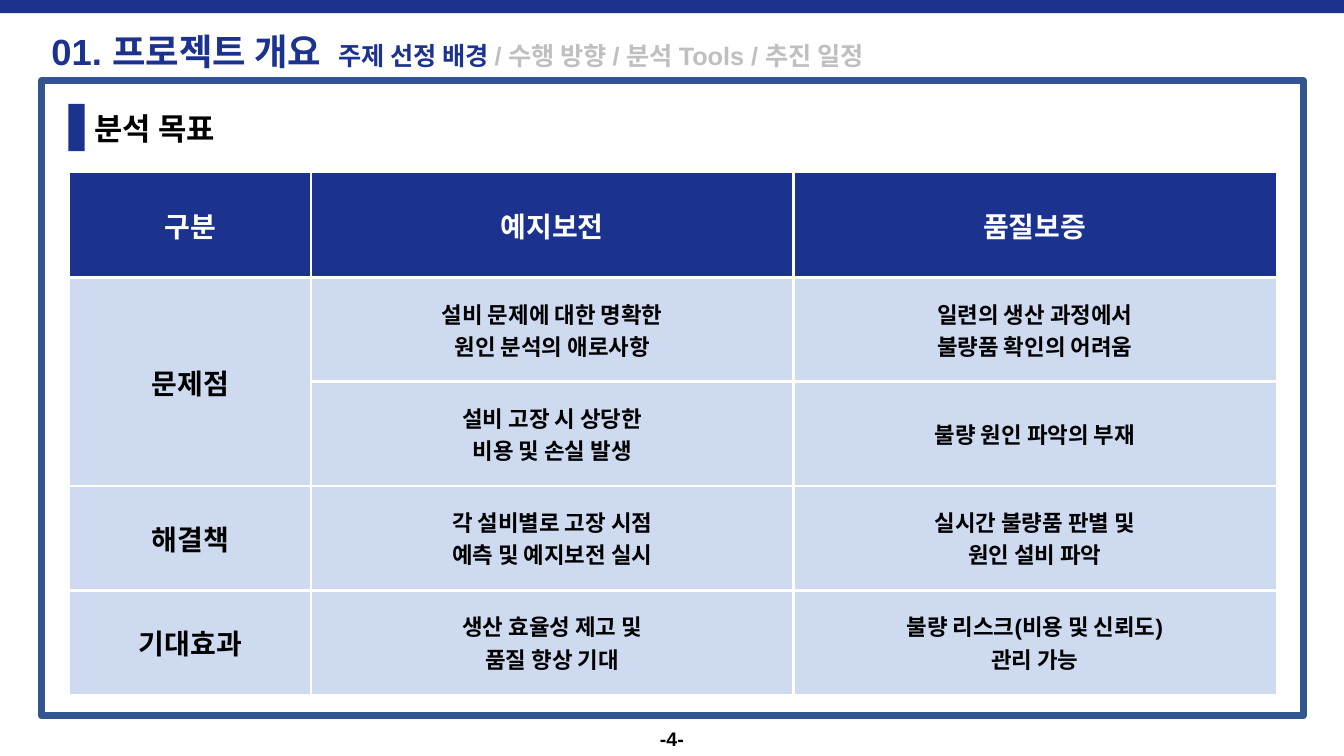
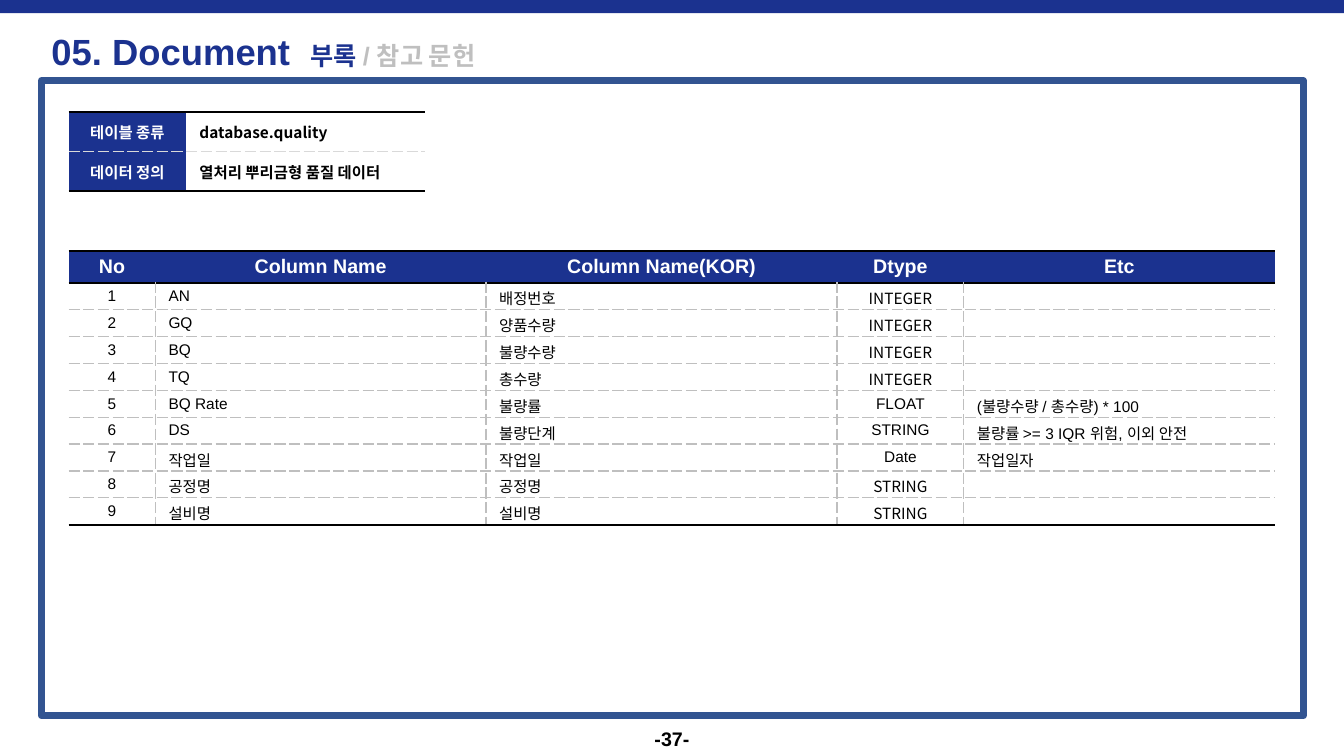
from dataclasses import dataclass
from itertools import accumulate

from lxml import etree
from pptx import Presentation
from pptx import util as u
from pptx.dml import color as clr
from pptx.enum import shapes, text
from pptx.oxml import ns

LEFT, MID = text.PP_ALIGN.LEFT, text.PP_ALIGN.CENTER


@dataclass(frozen=True)
class Theme:
    navy: str = "1B328F"
    frame: str = "325491"
    pale: str = "CDDAEF"
    gray: str = "BFBFBF"
    soft: str = "D9D9D9"
    black: str = "000000"
    white: str = "FFFFFF"
    latin: str = "Arial"
    hangul: str = "Noto Sans CJK KR"
    title: int = 26
    label: int = 22
    head: int = 20
    crumb: int = 18
    body: int = 16
    page: int = 14
    small: int = 11


T = Theme()
PLAIN = "{2D5ABB26-0587-4C30-8999-92F81FD0307C}"
EDGE = (T.black, 1.5, "solid")
DASH = (T.gray, 1, "sysDash")
SOFT = (T.soft, 1, "sysDash")
GAP = (T.white, 2.25, "solid")


def apply(item, **vals):
    for key, val in vals.items():
        setattr(item, key, val)


def split(total, parts):
    marks = [round(total * s / sum(parts)) for s in accumulate(parts)]
    return [b - a for a, b in zip([0] + marks, marks)]


class Deck:
    def __init__(self):
        self.file = Presentation()
        apply(self.file, slide_width=u.Inches(13.333), slide_height=u.Inches(7.5))
        self.slide = None

    def box(self, x, y, w, h):
        wide, high = self.file.slide_width, self.file.slide_height
        return [round(v * n / 100) for v, n in zip((x, y, w, h), (wide, high) * 2)]

    def start(self, heads, page):
        self.slide = self.file.slides.add_slide(self.file.slide_layouts[5])
        self.title(heads)
        self.block((0, 0, 100, 1.73), fill=T.navy)
        self.block((3.08, 10.67, 93.9, 84), line=T.frame)
        self.label((38.75, 95.33, 22.5, 4.67), page, T.page, MID)

    def run(self, para, words, size, color, bold=True, face=T.latin):
        run = para.add_run()
        run.text = words
        apply(run.font, size=u.Pt(size), bold=bold, name=face)
        run.font.color.rgb = clr.RGBColor.from_string(color)
        east = etree.SubElement(run.font._element, ns.qn("a:ea"))
        east.set("typeface", T.hangul)

    def title(self, heads):
        item = self.slide.shapes.title
        apply(item, **dict(zip(("left", "top", "width", "height"),
                               self.box(3.08, 2.8, 93.9, 7.87))))
        frame = item.text_frame
        apply(frame, word_wrap=True, auto_size=text.MSO_AUTO_SIZE.NONE,
              vertical_anchor=text.MSO_ANCHOR.MIDDLE)
        para = frame.paragraphs[0]
        para.alignment = LEFT
        sizes = (T.title, T.crumb, T.crumb)
        for words, size, color in zip(heads, sizes, (T.navy, T.navy, T.gray)):
            self.run(para, words, size, color)

    def label(self, area, words, size, align=LEFT):
        frame = self.slide.shapes.add_textbox(*self.box(*area)).text_frame
        apply(frame, word_wrap=True, vertical_anchor=text.MSO_ANCHOR.MIDDLE)
        para = frame.paragraphs[0]
        para.alignment = align
        self.run(para, words, size, T.black)

    def block(self, area, fill=None, line=None):
        item = self.slide.shapes.add_shape(
            shapes.MSO_SHAPE.RECTANGLE, *self.box(*area))
        item.shadow.inherit = False
        self.paint(item.fill, fill)
        self.paint(item.line.fill, line)
        if line:
            item.line.width = u.Pt(5)

    def paint(self, fill, color):
        if color:
            fill.solid()
            fill.fore_color.rgb = clr.RGBColor.from_string(color)
        else:
            fill.background()

    def border(self, cell, side, line):
        if not line:
            return
        color, width, dash = line
        edge = etree.SubElement(cell._tc.get_or_add_tcPr(), ns.qn("a:ln" + side))
        edge.set("w", str(u.Pt(width)))
        fill = etree.SubElement(edge, ns.qn("a:solidFill"))
        etree.SubElement(fill, ns.qn("a:srgbClr")).set("val", color)
        etree.SubElement(edge, ns.qn("a:prstDash")).set("val", dash)

    def grid(self, area, cols, data, rules, posts, pads, look):
        x, y, w, h = self.box(*area)
        table = self.slide.shapes.add_table(
            len(data), len(cols), x, y, w, h).table
        apply(table, first_row=False, horz_banding=False)
        table._tbl.tblPr.find(ns.qn("a:tableStyleId")).text = PLAIN
        for col, size in zip(table.columns, split(w, cols)):
            col.width = size
        for row, size in zip(table.rows, split(h, [1] * len(data))):
            row.height = size
        for r, line in enumerate(data):
            for c, words in enumerate(line):
                cell = table.cell(r, c)
                ends = (posts[r] if c else None,
                        posts[r] if c < len(cols) - 1 else None,
                        rules[r], rules[r + 1])
                for side, rule in zip("LRTB", ends):
                    self.border(cell, side, rule)
                self.fill(cell, words, pads, **look(r, c))
        return table

    def fill(self, cell, words, pads, fill=None, align=MID, **font):
        side, end = map(u.Inches, pads)
        apply(cell, margin_left=side, margin_right=side, margin_top=end,
              margin_bottom=end, vertical_anchor=text.MSO_ANCHOR.MIDDLE)
        self.paint(cell.fill, fill)
        for n, line in enumerate(words.split("\n")):
            frame = cell.text_frame
            para = frame.add_paragraph() if n else frame.paragraphs[0]
            para.alignment = align
            if line:
                self.run(para, line, **font)
            else:
                last = para._p.get_or_add_endParaRPr()
                last.set("sz", str(font["size"] * 100))


def goal_look(r, c):
    return dict(fill=T.pale if r else T.navy, color=T.black if r else T.white,
                size=T.body if r and c else T.head)


def meta_look(r, c):
    return dict(fill=T.white if c else T.navy, color=T.black if c else T.white,
                align=LEFT if c else MID, size=T.small, face=T.hangul)


def field_look(r, c):
    if not r:
        return dict(fill=T.navy, color=T.white, size=T.page)
    dense = c == 3 and r not in (5, 6, 7)
    return dict(color=T.black, size=T.small, bold=False,
                align=MID if c in (0, 3) else LEFT,
                face=T.hangul if dense else T.latin)


GOALS = [
    ("구분", "예지보전", "품질보증"),
    ("문제점", "설비 문제에 대한 명확한\n원인 분석의 애로사항",
     "일련의 생산 과정에서\n불량품 확인의 어려움"),
    ("", "설비 고장 시 상당한\n비용 및 손실 발생", "불량 원인 파악의 부재"),
    ("해결책", "각 설비별로 고장 시점\n예측 및 예지보전 실시",
     "실시간 불량품 판별 및\n원인 설비 파악"),
    ("기대효과", "생산 효율성 제고 및\n품질 향상 기대",
     "불량 리스크(비용 및 신뢰도)\n관리 가능"),
]
META = [
    ("테이블 종류", "database.quality"),
    ("데이터 정의", "열처리 뿌리금형 품질 데이터"),
]
FIELDS = [
    ("AN", "배정번호", "INTEGER", ""),
    ("GQ", "양품수량", "INTEGER", ""),
    ("BQ", "불량수량", "INTEGER", ""),
    ("TQ", "총수량", "INTEGER", ""),
    ("BQ Rate", "불량률", "FLOAT", "(불량수량 / 총수량) * 100"),
    ("DS", "불량단계", "STRING", "불량률 >= 3 IQR 위험, 이외 안전"),
    ("작업일", "작업일", "Date", "작업일자"),
    ("공정명", "공정명", "STRING", ""),
    ("설비명", "설비명", "STRING", ""),
]


def main():
    deck = Deck()

    deck.start(("01. 프로젝트 개요  ", "주제 선정 배경",
                " / 수행 방향 / 분석 Tools / 추진 일정"), "-4-")
    deck.block((5.1, 13.73, 1.2, 6.27), fill=T.navy)
    deck.label((6.3, 13.87, 90.67, 6.27), "분석 목표", T.label)
    table = deck.grid((5.18, 22.93, 89.78, 68.93), (1, 2, 2), GOALS,
                      [None] + [GAP] * 4 + [None], [GAP] * 5, (0.1, 0), goal_look)
    table.cell(1, 0).merge(table.cell(2, 0))

    deck.start(("05. Document  ", "부록 ", "/ 참고 문헌"), "-37-")
    names = ("No", "Column Name", "Column Name(KOR)", "Dtype", "Etc")
    rows = [names] + [(str(n), *row) for n, row in enumerate(FIELDS, 1)]
    deck.grid((5.1, 33.2, 89.78, 35.6), (7.2, 27.4, 29.1, 10.5, 25.8), rows,
              [EDGE, EDGE] + [DASH] * 8 + [EDGE], [None] + [DASH] * 9,
              (0.13, 0.04), field_look)
    deck.grid((5.1, 14.8, 26.55, 10.53), (33, 67), META,
              [EDGE, SOFT, EDGE], [None] * 2, (0.13, 0.04), meta_look)

    deck.file.save("out.pptx")


if __name__ == "__main__":
    main()
